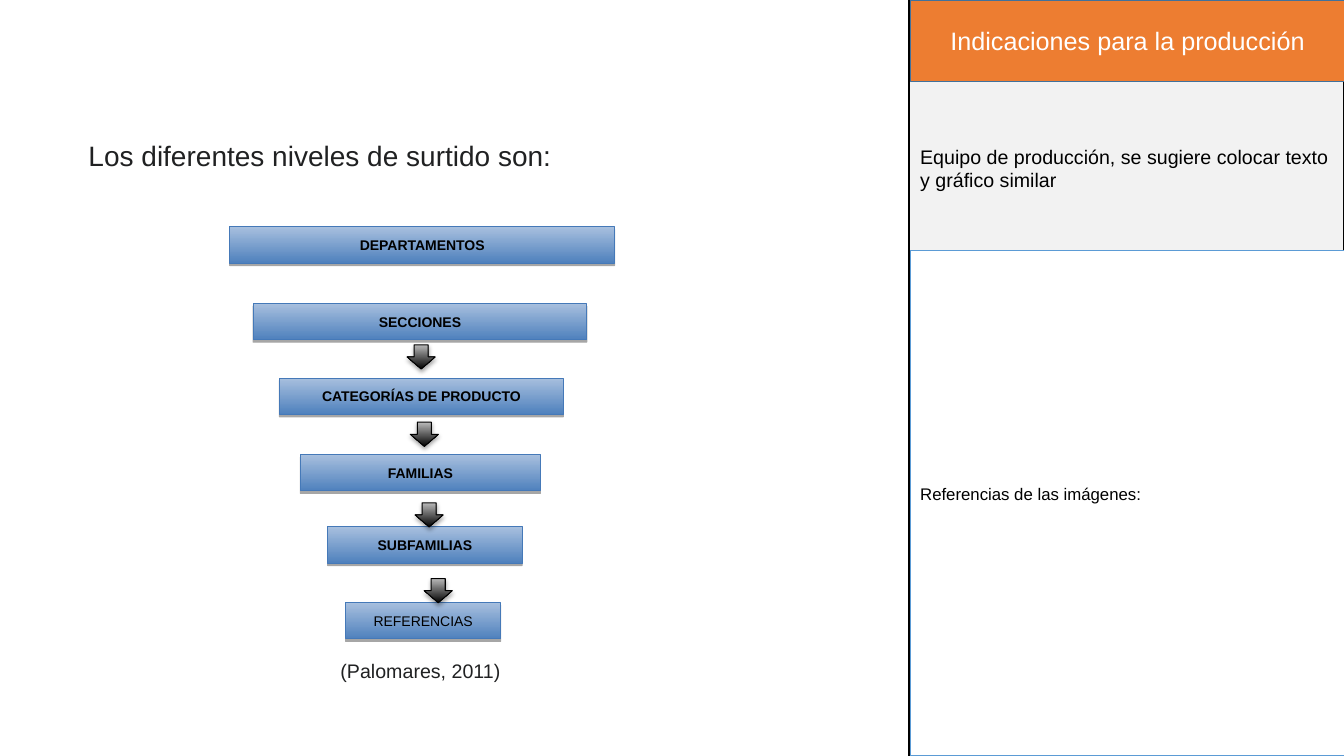
from lxml import etree
from pptx import Presentation
from pptx.dml.color import RGBColor
from pptx.enum.shapes import MSO_SHAPE
from pptx.enum.text import MSO_ANCHOR, MSO_AUTO_SIZE, PP_ALIGN
from pptx.oxml.ns import qn
from pptx.util import Cm, Pt

RECTANGLE = MSO_SHAPE.RECTANGLE
DOWN_ARROW = MSO_SHAPE.DOWN_ARROW
LEFT, CENTER = PP_ALIGN.LEFT, PP_ALIGN.CENTER
TOP, MIDDLE = MSO_ANCHOR.TOP, MSO_ANCHOR.MIDDLE
NO_AUTOFIT = MSO_AUTO_SIZE.NONE

FONT = "Arial"
TITLE_ONLY = 5
COLORS = {
    "black": "000000",
    "white": "FFFFFF",
    "ink": "202122",
    "panel": "F2F2F2",
    "header": "ED7D31",
    "header_line": "42719B",
    "reference_line": "5B9BD5",
    "level_dark": "4F81BD",
    "level_light": "A7BFDE",
    "level_line": "4579B8",
    "arrow_light": "BABABA",
}

LEVEL_HEIGHT = 0.91
LEVELS = [
    ("DEPARTAMENTOS", 0, 0, 9.7),
    ("SECCIONES", 0.59, 1.93, 8.41),
    ("CATEGORÍAS DE PRODUCTO", 1.25, 3.81, 7.16),
    ("FAMILIAS", 1.78, 5.74, 6.05),
    ("SUBFAMILIAS", 2.47, 7.56, 4.9),
    ("REFERENCIAS", 2.92, 9.47, 3.91),
]
ARROW_SIZE = (0.71, 0.61)
ARROWS = [(4.47, 2.97), (4.55, 4.92), (4.67, 6.95), (4.9, 8.86)]


def rgb(name):
    return RGBColor.from_string(COLORS[name])


def lengths(box):
    return [Cm(value) for value in box]


def write(shape, text, size=14, color="black", bold=False, align=LEFT,
          anchor=TOP, bottom=0.13):
    frame = shape.text_frame
    frame.word_wrap = True
    frame.auto_size = NO_AUTOFIT
    frame.vertical_anchor = anchor
    frame.margin_left = frame.margin_right = Cm(0.25)
    frame.margin_top, frame.margin_bottom = Cm(0.13), Cm(bottom)
    para = frame.paragraphs[0]
    para.alignment = align
    span = para.add_run()
    span.text = text
    span.font.name = FONT
    span.font.size = Pt(size)
    span.font.bold = bold
    span.font.color.rgb = rgb(color)


def add_label(page, box, text, **style):
    write(page.shapes.add_textbox(*lengths(box)), text, **style)


def add_block(page, box, line, fill=None, kind=RECTANGLE, weight=1):
    shape = page.shapes.add_shape(kind, *lengths(box))
    shape.shadow.inherit = False
    shape.line.color.rgb = rgb(line)
    shape.line.width = Pt(weight)
    if fill:
        shape.fill.solid()
        shape.fill.fore_color.rgb = rgb(fill)
    return shape


def add_shaded(page, box, line, dark, light, kind=RECTANGLE, blur=0):
    shape = add_block(page, box, line, kind=kind, weight=0.75)
    shape.fill.gradient()
    shape.fill.gradient_angle = 90
    for stop, name in zip(shape.fill.gradient_stops, (dark, light)):
        stop.color.rgb = rgb(name)
    effects = shape._element.spPr.find(qn("a:effectLst"))
    shadow = etree.SubElement(
        effects, qn("a:outerShdw"), blurRad=str(Pt(blur)), dist=str(Pt(1.8)),
        dir="5400000", rotWithShape="0")
    color = etree.SubElement(shadow, qn("a:srgbClr"), val=COLORS["black"])
    etree.SubElement(color, qn("a:alpha"), val="35000")
    return shape


def add_title(page, box):
    title = page.shapes.title
    title.left, title.top, title.width, title.height = lengths(box)
    write(title, "Los diferentes niveles de surtido son:", size=20, color="ink")


def add_production_panel(page, box):
    left, top, width, height = box
    header_height, reference_top = 2.06, 6.32
    add_block(page, box, "black", "panel")
    add_label(page, (left + 0.03, top + 3.51, width + 0.05, 8.38),
              "Equipo de producción, se sugiere colocar texto y gráfico similar")
    header = add_block(page, (left + 0.03, top, width, header_height),
                       "header_line", "header")
    write(header, "Indicaciones para la producción", size=18, color="white",
          align=CENTER, anchor=MIDDLE)
    references = add_block(
        page, (left + 0.03, top + reference_top, width, height - reference_top),
        "reference_line", "white")
    write(references, "Referencias de las imágenes:", size=12, anchor=MIDDLE,
          bottom=0.62)


def add_levels(page, box):
    left, top, width, height = box
    for name, across, down, level_width in LEVELS:
        level = add_shaded(
            page, (left + across, top + down, level_width, LEVEL_HEIGHT),
            "level_line", "level_dark", "level_light")
        write(level, name, size=10, bold=name != "REFERENCIAS", align=CENTER,
              anchor=MIDDLE)
    for across, down in ARROWS:
        add_shaded(page, (left + across, top + down, *ARROW_SIZE), "black",
                   "black", "arrow_light", kind=DOWN_ARROW, blur=3.1)
    add_label(page, (left + 2.54, top + height, 16.97, 0.86),
              "(Palomares, 2011)", color="ink")


def main():
    deck = Presentation()
    deck.slide_width, deck.slide_height = Cm(33.87), Cm(19.05)
    page = deck.slides.add_slide(deck.slide_layouts[TITLE_ONLY])
    add_title(page, (1.98, 3.35, 16.97, 1.12))
    add_production_panel(page, (22.91, 0, 10.95, 19.05))
    add_levels(page, (5.79, 5.72, 9.7, 10.76))
    deck.save("out.pptx")


if __name__ == "__main__":
    main()
